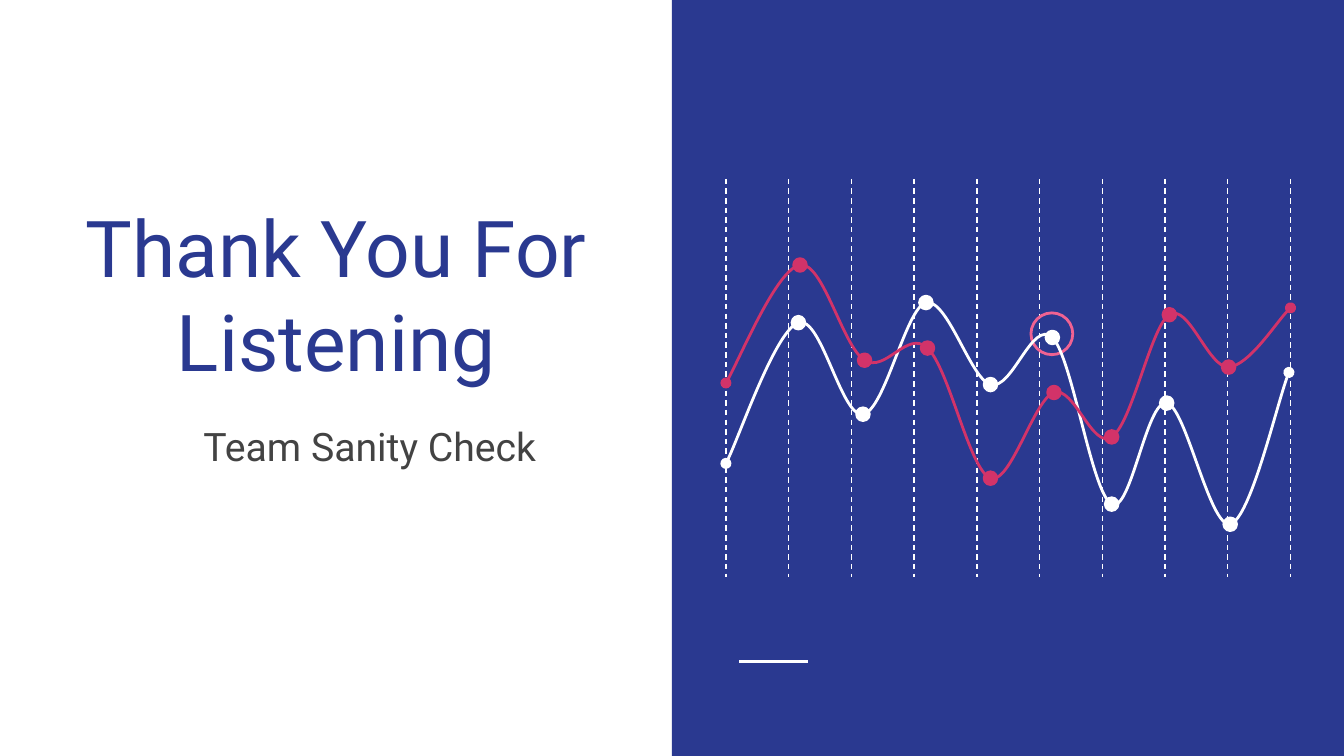
from lxml.etree import SubElement
from pptx import Presentation
from pptx.dml.color import RGBColor
from pptx.enum.dml import MSO_LINE
from pptx.enum.shapes import MSO_CONNECTOR, MSO_SHAPE
from pptx.enum.text import MSO_ANCHOR, MSO_AUTO_SIZE, PP_ALIGN
from pptx.oxml.ns import qn
from pptx.util import Cm, Pt

FONT = "Roboto"
COLORS = {
    "blue": "2A3990",
    "white": "FFFFFF",
    "red": "D23369",
    "pink": "F06292",
    "grey": "434343",
}
GRID_LINES = 10
DOT_SIZE = 0.24
RING_SIZE = 0.79

# Curves in cm from the chart's corner: a start, then two handles and a knot per segment.
WHITE_CURVE = [
    (0, 5.38),
    (0.23, 4.95), (0.94, 2.87), (1.37, 2.72),
    (1.8, 2.57), (2.18, 4.52), (2.59, 4.45),
    (3, 4.39), (3.4, 2.44), (3.78, 2.34),
    (4.19, 2.26), (4.62, 3.78), (5, 3.89),
    (5.41, 4.01), (5.79, 2.64), (6.17, 3),
    (6.55, 3.38), (6.91, 5.94), (7.29, 6.15),
    (7.65, 6.35), (7.95, 4.17), (8.33, 4.24),
    (8.69, 4.29), (9.14, 6.6), (9.53, 6.53),
    (9.91, 6.43), (10.44, 4.14), (10.64, 3.66),
]
RED_CURVE = [
    (0, 3.86),
    (0.23, 3.48), (0.97, 1.7), (1.4, 1.63),
    (1.83, 1.55), (2.21, 3.18), (2.62, 3.43),
    (3.02, 3.68), (3.43, 2.84), (3.81, 3.2),
    (4.22, 3.58), (4.6, 5.51), (5, 5.66),
    (5.38, 5.79), (5.82, 4.17), (6.2, 4.04),
    (6.58, 3.91), (6.93, 5.13), (7.29, 4.88),
    (7.67, 4.65), (8.03, 2.79), (8.38, 2.57),
    (8.74, 2.34), (9.12, 3.58), (9.5, 3.56),
    (9.88, 3.53), (10.46, 2.62), (10.67, 2.44),
]


def rgb(name):
    return RGBColor.from_string(COLORS[name])


def set_line(item, color, points):
    item.line.color.rgb = rgb(color)
    item.line.width = Pt(points)


def add_line(shapes, start, end, points):
    line = shapes.add_connector(
        MSO_CONNECTOR.STRAIGHT, *(Cm(value) for value in (*start, *end))
    )
    set_line(line, "white", points)
    SubElement(line._element.spPr, qn("a:effectLst"))
    return line


def add_circle(shapes, center, size, color, filled=True):
    left, top = (Cm(value - size / 2) for value in center)
    circle = shapes.add_shape(MSO_SHAPE.OVAL, left, top, Cm(size), Cm(size))
    circle.shadow.inherit = False
    if filled:
        circle.fill.solid()
        circle.fill.fore_color.rgb = rgb(color)
    else:
        circle.fill.background()
    set_line(circle, color, 1.5)


def bend_segments(outline):
    """Turn every three straight steps of the outline into one cubic curve."""
    path = next(outline._element.iter(qn("a:path")))
    steps = path.findall(qn("a:lnTo"))
    for first in range(0, len(steps), 3):
        curve = SubElement(path, qn("a:cubicBezTo"))
        for step in steps[first:first + 3]:
            curve.append(step[0])
            path.remove(step)


def add_series(page, box, curve, color):
    left, top, _, _ = box
    points = [(left + x, top + y) for x, y in curve]
    shapes = page.shapes.add_group_shape().shapes
    start, *steps = [(Cm(x), Cm(y)) for x, y in points]
    builder = shapes.build_freeform(*start)
    builder.add_line_segments(steps, close=False)
    outline = builder.convert_to_shape()
    bend_segments(outline)
    outline.shadow.inherit = False
    outline.fill.background()
    set_line(outline, color, 1.5)
    line_xml = outline.line._get_or_add_ln()
    for end in ("a:headEnd", "a:tailEnd"):
        SubElement(line_xml, qn(end), type="oval")
    for knot in points[3:-1:3]:
        add_circle(shapes, knot, DOT_SIZE, color)


def add_grid(page, box):
    left, top, width, height = box
    shapes = page.shapes.add_group_shape().shapes
    for index in range(GRID_LINES):
        x = left + index * width / (GRID_LINES - 1)
        line = add_line(shapes, (x, top), (x, top + height), 0.75)
        line.line.dash_style = MSO_LINE.DASH


def add_chart_drawing(page, box):
    left, top, _, _ = box
    add_grid(page, box)
    add_circle(page.shapes, (left + 6.16, top + 2.93), RING_SIZE, "pink", filled=False)
    add_series(page, box, WHITE_CURVE, "white")
    add_series(page, box, RED_CURVE, "red")


def add_panel(page, box):
    left, top, width, height = box
    panel = page.shapes.add_shape(
        MSO_SHAPE.RECTANGLE, *(Cm(value) for value in box)
    )
    panel.shadow.inherit = False
    panel.fill.solid()
    panel.fill.fore_color.rgb = rgb("blue")
    panel.line.fill.background()
    x, y = left + 1.27, top + 12.5
    add_line(page.shapes, (x, y), (x + 1.3, y), 1.5)
    add_chart_drawing(page, (left + 1.02, top + 3.38, width - 2.03, 7.52))


def write_text(shape, text, size, color, anchor, indent=0):
    frame = shape.text_frame
    frame.word_wrap = True
    frame.auto_size = MSO_AUTO_SIZE.NONE
    frame.vertical_anchor = anchor
    frame.margin_left = Cm(0.25 + indent)
    frame.margin_right = frame.margin_top = frame.margin_bottom = Cm(0.25)
    para = frame.paragraphs[0]
    para.alignment = PP_ALIGN.CENTER
    para.space_before = Pt(0)
    span = para.add_run()
    span.text = text
    span.font.name = FONT
    span.font.size = Pt(size)
    span.font.color.rgb = rgb(color)


def add_closing_text(page, box):
    left, top, width, _ = box
    title = page.shapes.title
    title.left, title.top = Cm(left), Cm(top)
    title.width, title.height = Cm(width), Cm(4.34)
    write_text(title, "Thank You For Listening", 42, "blue", MSO_ANCHOR.BOTTOM)
    subtitle = page.shapes.add_textbox(
        Cm(left), Cm(top + 4.5), Cm(width), Cm(3.53)
    )
    write_text(subtitle, "Team Sanity Check", 21, "grey", MSO_ANCHOR.TOP, indent=1.27)


def main():
    deck = Presentation()
    deck.slide_width, deck.slide_height = Cm(25.4), Cm(14.29)
    page = deck.slides.add_slide(deck.slide_layouts[5])
    page.background.fill.solid()
    page.background.fill.fore_color.rgb = rgb("white")
    add_panel(page, (12.7, 0, 12.7, 14.29))
    add_closing_text(page, (0.74, 3.23, 11.23, 8.03))
    deck.save("out.pptx")


if __name__ == "__main__":
    main()
